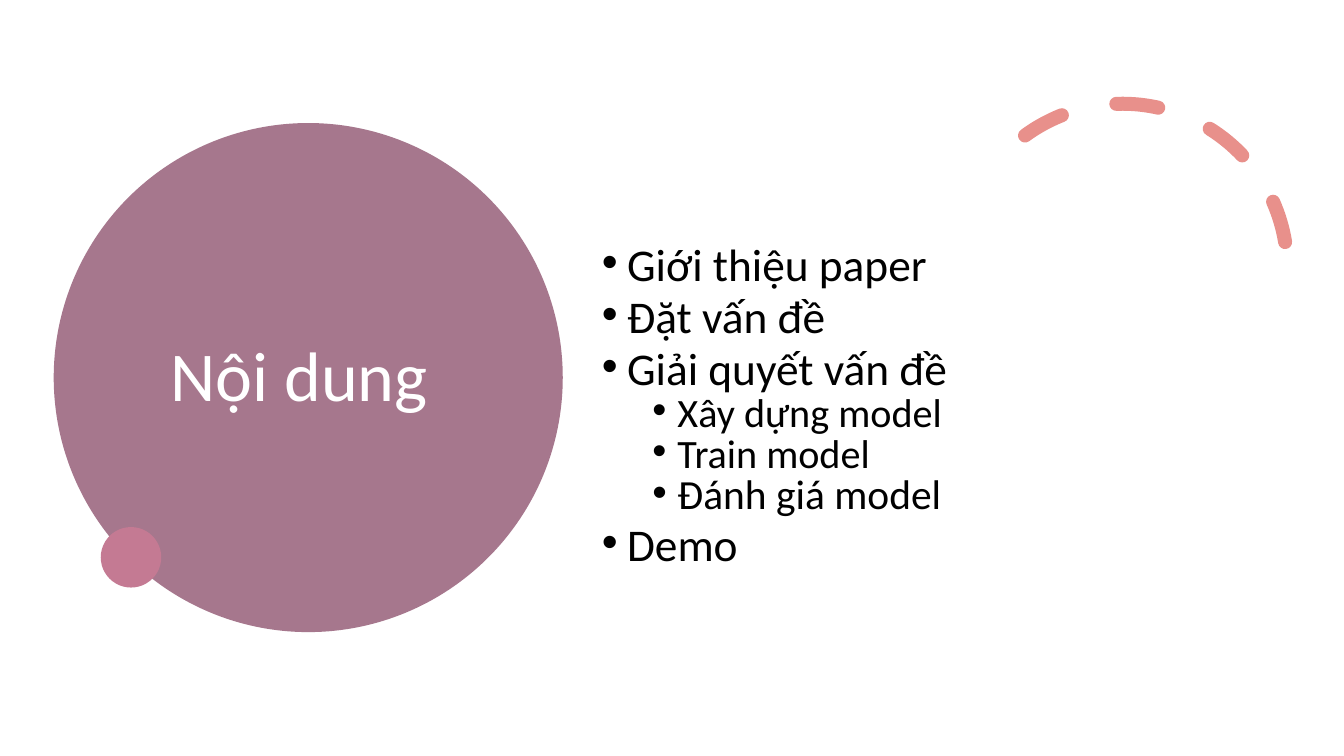
from dataclasses import dataclass

from lxml import etree
from pptx import Presentation
from pptx.dml.color import RGBColor
from pptx.enum.dml import MSO_LINE
from pptx.enum.shapes import MSO_SHAPE
from pptx.enum.text import MSO_ANCHOR, MSO_AUTO_SIZE, PP_ALIGN
from pptx.oxml.ns import qn
from pptx.util import Inches, Pt

ELLIPSE, ARC = MSO_SHAPE.OVAL, MSO_SHAPE.ARC
DASH = MSO_LINE.DASH
LEFT, MIDDLE, TOP = PP_ALIGN.LEFT, MSO_ANCHOR.MIDDLE, MSO_ANCHOR.TOP
NO_FIT = MSO_AUTO_SIZE.NONE

MAUVE = RGBColor(0xA6, 0x77, 0x8D)
ROSE = RGBColor(0xC4, 0x7A, 0x93)
CORAL = RGBColor(0xE8, 0x90, 0x8B)
WHITE = RGBColor(0xFF, 0xFF, 0xFF)
BLACK = RGBColor(0, 0, 0)

FONT = "Calibri"
COLUMNS, ROWS = 160, 90
WIDTH, HEIGHT = Inches(13.33), Inches(7.5)


@dataclass(frozen=True)
class Box:
    """A rectangle in grid columns and rows."""
    col: float
    row: float
    cols: float
    rows: float

    def place(self) -> tuple[int, int, int, int]:
        """Return left, top, width and height in EMU."""
        return (round(self.col * WIDTH / COLUMNS), round(self.row * HEIGHT / ROWS),
                round(self.cols * WIDTH / COLUMNS), round(self.rows * HEIGHT / ROWS))


@dataclass(frozen=True)
class Disc:
    """A plain filled circle."""
    box: Box
    color: RGBColor


@dataclass(frozen=True)
class Item:
    """A line of the agenda."""
    text: str
    size: float = 32.4
    level: int = 0


TITLE_DISC = Disc(Box(6.4, 14.65, 60.6, 60.6), MAUVE)
SMALL_DISC = Disc(Box(12, 62.75, 7.2, 7.2), ROSE)
ARC_BOX = Box(114, 12.35, 39.25, 39.25)
TITLE_BOX = Box(19.1, 18.35, 38.8, 53.4)
BODY_BOX = Box(70.45, 29.3, 72.6, 42.35)

AGENDA = [
    Item("Giới thiệu paper"),
    Item("Đặt vấn đề"),
    Item("Giải quyết vấn đề"),
    Item("Xây dựng model", 28.7, 1),
    Item("Train model", 28.7, 1),
    Item("Đánh giá model", 29.6, 1),
    Item("Demo"),
]


def add_disc(s, disc: Disc):
    """Draw a circle without outline or shadow."""
    sp = s.shapes.add_shape(ELLIPSE, *disc.box.place())
    sp.shadow.inherit = False
    sp.fill.solid()
    sp.fill.fore_color.rgb = disc.color
    sp.line.fill.background()
    return sp


def add_dashed_arc(s, box: Box) -> None:
    """Draw the thick dashed arc with round caps."""
    sp = s.shapes.add_shape(ARC, *box.place())
    sp.shadow.inherit = False
    sp.fill.background()
    sp.adjustments[0], sp.adjustments[1] = 158.17, 17.81
    sp.rotation = 330.2
    sp.line.color.rgb = CORAL
    sp.line.width = Pt(10)
    sp.line.dash_style = DASH
    sp.line._get_or_add_ln().set("cap", "rnd")


def place_text(sp, box: Box, anchor):
    """Move a placeholder and return its prepared text frame."""
    sp.left, sp.top, sp.width, sp.height = box.place()
    tf = sp.text_frame
    tf.word_wrap = True
    tf.auto_size = NO_FIT
    tf.vertical_anchor = anchor
    return tf


def format_paragraph(p, size: float, color: RGBColor, spacing: float) -> None:
    """Set the font, alignment and line spacing of a paragraph."""
    p.alignment = LEFT
    p.line_spacing = spacing
    p.font.name, p.font.size = FONT, Pt(size)
    p.font.color.rgb = color


def add_bullet(p, level: int) -> None:
    """Give a paragraph a round bullet and a hanging indent."""
    pPr = p._p.get_or_add_pPr()
    pPr.set("marL", str(Inches(0.25 + 0.5 * level)))
    pPr.set("indent", str(Inches(-0.25)))
    font = etree.Element(qn("a:buFont"), typeface="Arial")
    bullet = etree.Element(qn("a:buChar"), char="•")
    position = pPr.index(pPr.find(qn("a:defRPr")))
    pPr[position:position] = [font, bullet]


def fill_agenda(tf, items: list[Item]) -> None:
    """Write the agenda as a two-level list."""
    tf.text = "\n".join(item.text for item in items)
    for p, item in zip(tf.paragraphs, items):
        p.level = item.level
        p.space_before = Pt(5 if item.level else 10)
        format_paragraph(p, item.size, BLACK, 0.7)
        add_bullet(p, item.level)


def main() -> None:
    """Build and save the agenda slide."""
    prs = Presentation()
    prs.slide_width, prs.slide_height = WIDTH, HEIGHT
    s = prs.slides.add_slide(prs.slide_layouts[1])

    title_disc = add_disc(s, TITLE_DISC)
    s.shapes.title._element.addprevious(title_disc._element)

    tf = place_text(s.shapes.title, TITLE_BOX, MIDDLE)
    tf.text = "Nội dung"
    format_paragraph(tf.paragraphs[0], 50, WHITE, 0.9)

    fill_agenda(place_text(s.placeholders[1], BODY_BOX, TOP), AGENDA)
    add_dashed_arc(s, ARC_BOX)
    add_disc(s, SMALL_DISC)
    prs.save("out.pptx")


main()
